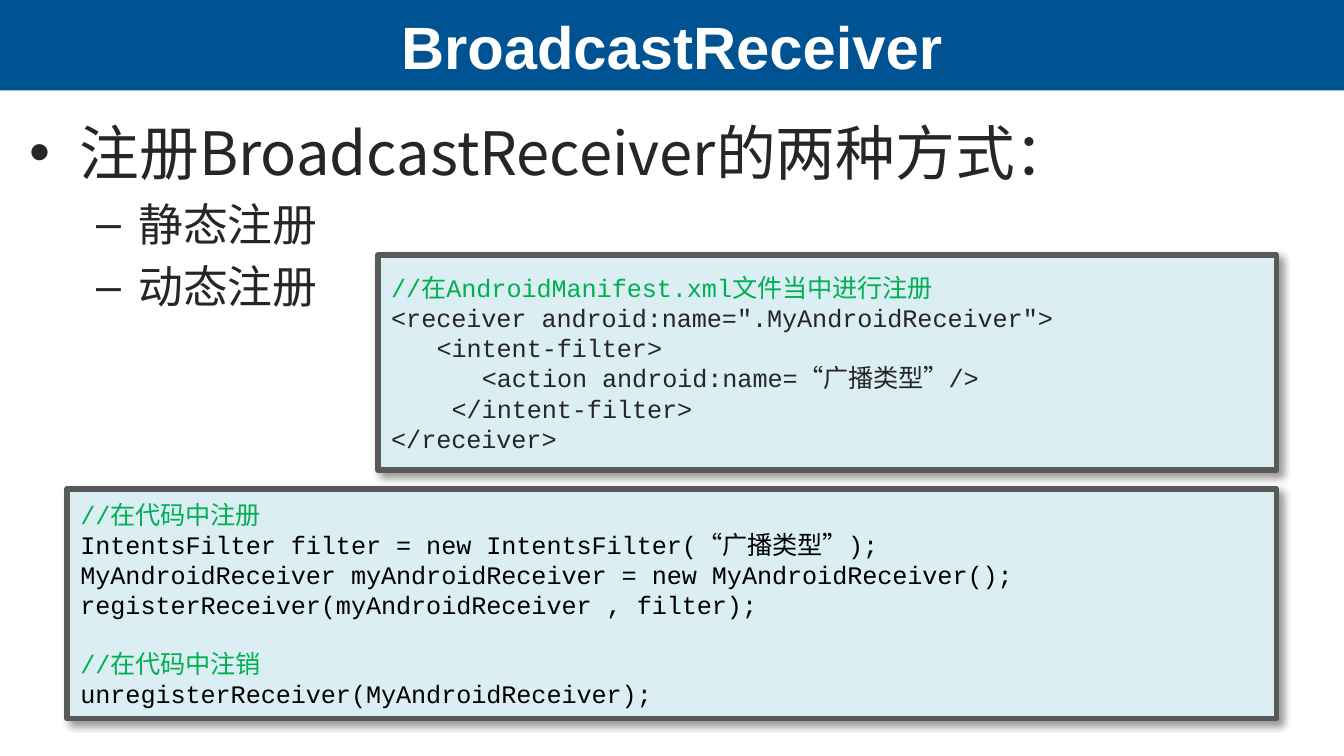
from lxml import etree
from pptx import Presentation
from pptx.dml.color import RGBColor
from pptx.enum.shapes import MSO_SHAPE
from pptx.enum.text import MSO_ANCHOR, PP_ALIGN
from pptx.oxml.ns import qn
from pptx.util import Pt

RECTANGLE = MSO_SHAPE.RECTANGLE
MIDDLE, TOP = MSO_ANCHOR.MIDDLE, MSO_ANCHOR.TOP
CENTER, LEFT = PP_ALIGN.CENTER, PP_ALIGN.LEFT

WIDTH, HEIGHT = 720, 405
BANNER_HEIGHT = 48.5
BLUE, WHITE, BLACK = "005392", "FFFFFF", "000000"
DARK, GREEN = "262626", "00B050"
PANEL, FRAME = "DBEEF4", "595959"
CJK_FONT = "Noto Sans CJK SC"
CODE_SIZE = 13.5
CODE_CHAR = 0.6 * CODE_SIZE
CODE_LINE = 15.3


def color(hex_code):
    return RGBColor.from_string(hex_code)


class SlideBuilder:
    heading_font = "Arial"
    code_font = "Courier New"

    def __init__(self, slide):
        self.slide = slide

    def add_run(self, paragraph, text, size, font, fill, bold=False):
        run = paragraph.add_run()
        run.text = text
        run.font.size = Pt(size)
        run.font.name = font
        run.font.bold = bold
        run.font.color.rgb = color(fill)
        east_asian = etree.Element(qn("a:ea"), typeface=CJK_FONT)
        run.font._element.find(qn("a:latin")).addnext(east_asian)

    def paragraphs(self, frame, items, anchor=TOP):
        """Yield one paragraph per item, reusing the frame's first one."""
        frame.word_wrap = True
        frame.vertical_anchor = anchor
        for index, item in enumerate(items):
            yield (frame.add_paragraph() if index else frame.paragraphs[0]), item

    def indent(self, paragraph, left, hanging=0):
        properties = paragraph._p.get_or_add_pPr()
        properties.set("marL", str(Pt(left)))
        properties.set("indent", str(Pt(-hanging)))
        return properties

    def rectangle(self, left, top, width, height, fill):
        box = self.slide.shapes.add_shape(
            RECTANGLE, Pt(left), Pt(top), Pt(width), Pt(height))
        box.shadow.inherit = False
        box.fill.solid()
        box.fill.fore_color.rgb = color(fill)
        box.line.fill.background()
        return box

    def banner(self, title):
        box = self.rectangle(0, 0, WIDTH, BANNER_HEIGHT, BLUE)
        for paragraph, text in self.paragraphs(box.text_frame, [title], MIDDLE):
            paragraph.alignment = CENTER
            self.add_run(paragraph, text, 32, self.heading_font, WHITE, bold=True)

    def bullets(self, left, top, width, height, items):
        """Items are (level, text) pairs."""
        levels = [(32, 27, 27, "•"), (24, 58.5, 22.5, "–")]
        box = self.slide.shapes.add_textbox(
            Pt(left), Pt(top), Pt(width), Pt(height))
        for paragraph, (level, text) in self.paragraphs(box.text_frame, items):
            size, margin, hanging, mark = levels[level]
            paragraph.level = level
            paragraph.space_before = Pt(0.2 * size)
            properties = self.indent(paragraph, margin, hanging)
            etree.SubElement(properties, qn("a:buFont"), typeface=self.heading_font)
            etree.SubElement(properties, qn("a:buChar"), char=mark)
            self.add_run(paragraph, text, size, CJK_FONT, DARK)

    def drop_shadow(self, box):
        effects = box._element.spPr.find(qn("a:effectLst"))
        shadow = etree.SubElement(
            effects, qn("a:outerShdw"), blurRad=str(Pt(4)), dist=str(Pt(3)),
            dir=str(45 * 60000), algn="tl", rotWithShape="0")
        tint = etree.SubElement(shadow, qn("a:srgbClr"), val=BLACK)
        etree.SubElement(tint, qn("a:alpha"), val="40000")

    def code_panel(self, left, top, width, height, lines, fill):
        """Lines are (indent in characters, text) pairs; comments turn green."""
        box = self.rectangle(left, top, width, height, PANEL)
        box.line.color.rgb = color(FRAME)
        box.line.width = Pt(3)
        self.drop_shadow(box)
        numbered = enumerate(lines)
        for paragraph, (row, (depth, text)) in self.paragraphs(
                box.text_frame, numbered, MIDDLE):
            is_comment = text.startswith("//")
            paragraph.alignment = LEFT
            if depth:
                self.indent(paragraph, depth * CODE_CHAR)
            if is_comment and row:
                paragraph.space_before = Pt(CODE_LINE)
            self.add_run(paragraph, text, CODE_SIZE, self.code_font,
                         GREEN if is_comment else fill)


def main():
    presentation = Presentation()
    presentation.slide_width, presentation.slide_height = Pt(WIDTH), Pt(HEIGHT)
    slide = presentation.slides.add_slide(presentation.slide_layouts[6])
    builder = SlideBuilder(slide)

    builder.banner("BroadcastReceiver")
    builder.bullets(8.5, 58.5, 648, 267, [
        (0, "注册BroadcastReceiver的两种方式："),
        (1, "静态注册"),
        (1, "动态注册"),
    ])
    builder.code_panel(36, 262, 648, 123, [
        (0, "//在代码中注册"),
        (0, "IntentsFilter filter = new IntentsFilter(“广播类型”);"),
        (0, "MyAndroidReceiver myAndroidReceiver = new MyAndroidReceiver();"),
        (0, "registerReceiver(myAndroidReceiver , filter);"),
        (0, "//在代码中注销"),
        (0, "unregisterReceiver(MyAndroidReceiver);"),
    ], BLACK)
    builder.code_panel(202.5, 136.75, 481.5, 115.25, [
        (0, "//在AndroidManifest.xml文件当中进行注册"),
        (0, '<receiver android:name=".MyAndroidReceiver">'),
        (3, "<intent-filter>"),
        (6, "<action android:name=“广播类型”/>"),
        (4, "</intent-filter>"),
        (0, "</receiver>"),
    ], DARK)
    presentation.save("out.pptx")


if __name__ == "__main__":
    main()
